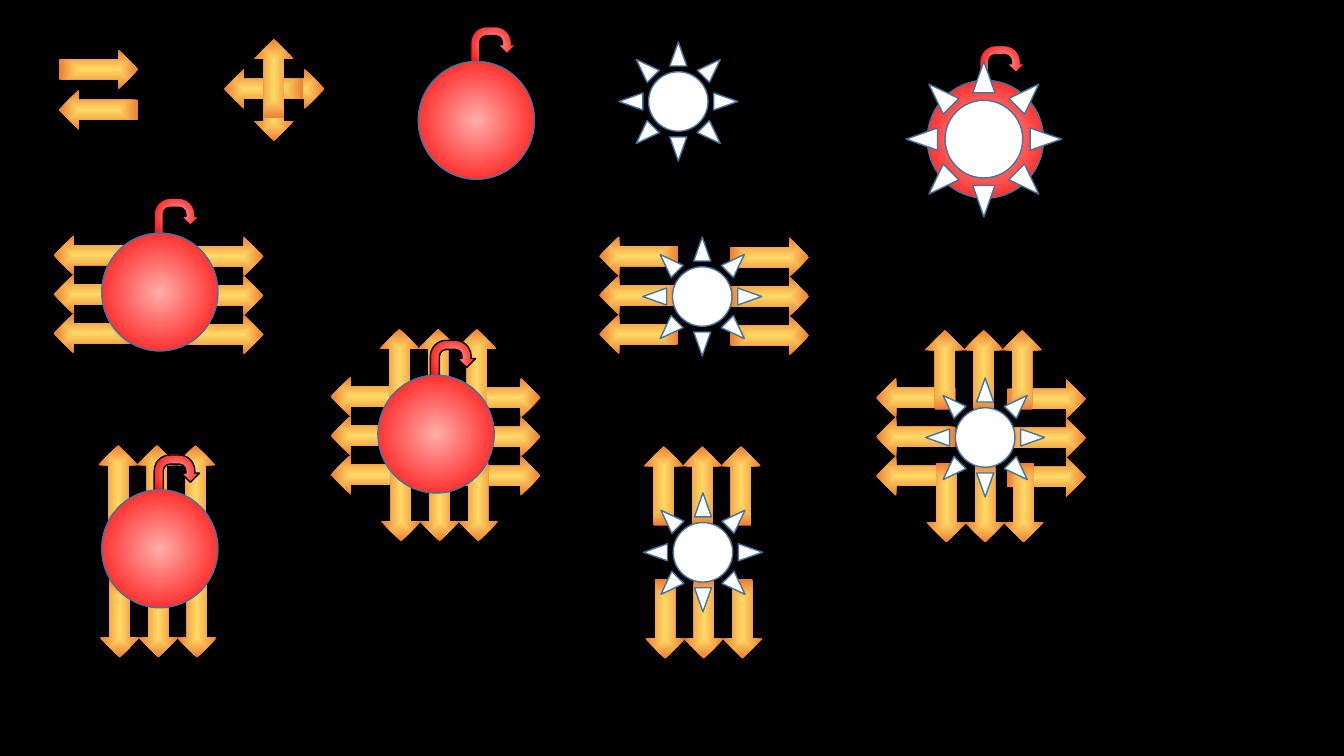
from pptx import Presentation
from pptx.dml.color import RGBColor
from pptx.enum.shapes import MSO_SHAPE
from pptx.oxml import parse_xml
from pptx.oxml.ns import nsdecls, qn
from pptx.util import Pt

GOLD = ("FFD966", "ED7D31", "rect")
RED = ("FFAEAA", "FF0000", "circle")
EDGE = "43739E"
# clockwise turn, then whether the right arrow is mirrored first
TURNS = {"right": (0, False), "left": (0, True), "up": (90, True), "down": (90, False)}


def add(kind, x, y, w, h, fill, line=None):
    """Draw a preset shape; fill is a hex colour or (inner, outer, path)."""
    shape = slide.shapes.add_shape(kind, Pt(x), Pt(y), Pt(w), Pt(h))
    shape.shadow.inherit = False
    if isinstance(fill, str):
        shape.fill.solid()
        shape.fill.fore_color.rgb = RGBColor.from_string(fill)
    else:
        shape.fill.gradient()
        for stop, tone in zip(shape.fill.gradient_stops, fill):
            stop.color.rgb = RGBColor.from_string(tone)
        grad = shape._element.spPr.find(qn("a:gradFill"))
        grad.replace(grad.find(qn("a:lin")), parse_xml(
            f'<a:path {nsdecls("a")} path="{fill[2]}">'
            '<a:fillToRect l="50000" t="50000" r="50000" b="50000"/></a:path>'))
    if line:
        shape.line.color.rgb = RGBColor.from_string(line)
        shape.line.width = Pt(1)
    else:
        shape.line.fill.background()
    return shape


def arrow(x, y, way):
    turn, flip = TURNS[way]
    shape = add(MSO_SHAPE.RIGHT_ARROW, x, y, 56.8, 28.6, GOLD)
    shape.rotation = turn
    if flip:
        shape._element.spPr.xfrm.set("flipH", "1")


deck = Presentation()
deck.slide_width, deck.slide_height = Pt(960), Pt(540)
slide = deck.slides.add_slide(deck.slide_layouts[6])
slide.background.fill.solid()
slide.background.fill.fore_color.rgb = RGBColor.from_string("000000")

# Arrow pair and four-way cross
for x, y, way in [
    (42, 35.3, "right"), (42, 64.2, "left"),
    (175, 49.2, "right"), (160, 49.2, "left"),
    (167.2, 58.1, "down"), (167.2, 41.9, "up"),
]:
    arrow(x, y, way)

# Rows of three arrows pointing left and right
for x, y in [(38.3, 168), (236.2, 269), (428, 168.7), (625.8, 269.8)]:
    for i in range(3):
        arrow(x + 93.2, y + 0.8 + 27.9 * i, "right")
        arrow(x, y + 27.9 * i, "left")

# Columns of three arrows pointing up and down
for x, y in [(56.1, 332), (257, 249), (445.7, 332.8), (646.6, 249.8)]:
    for i in range(3):
        arrow(x + 1 + 27.6 * i, y + 95, "down")
        arrow(x + 27.6 * i, y, "up")

# Red balls, each with a hooked arrow on top
for x, y in [(298.8, 43.9), (72.7, 166.5), (72.7, 349.9), (270, 268), (662.4, 57.4)]:
    add(MSO_SHAPE.U_TURN_ARROW, x + 37.4, y - 24.9, 32.4, 26, RED, "000000")
    add(MSO_SHAPE.OVAL, x, y, 83, 84.2, RED, EDGE)

# White suns
for x, y, size in [
    (442, 30, 85), (459.1, 169.3, 85), (459.6, 352, 85),
    (661.2, 270, 85), (647.3, 43.9, 111),
]:
    add(MSO_SHAPE.SUN, x, y, size, size, "FFFFFF", EDGE)

deck.save("out.pptx")
